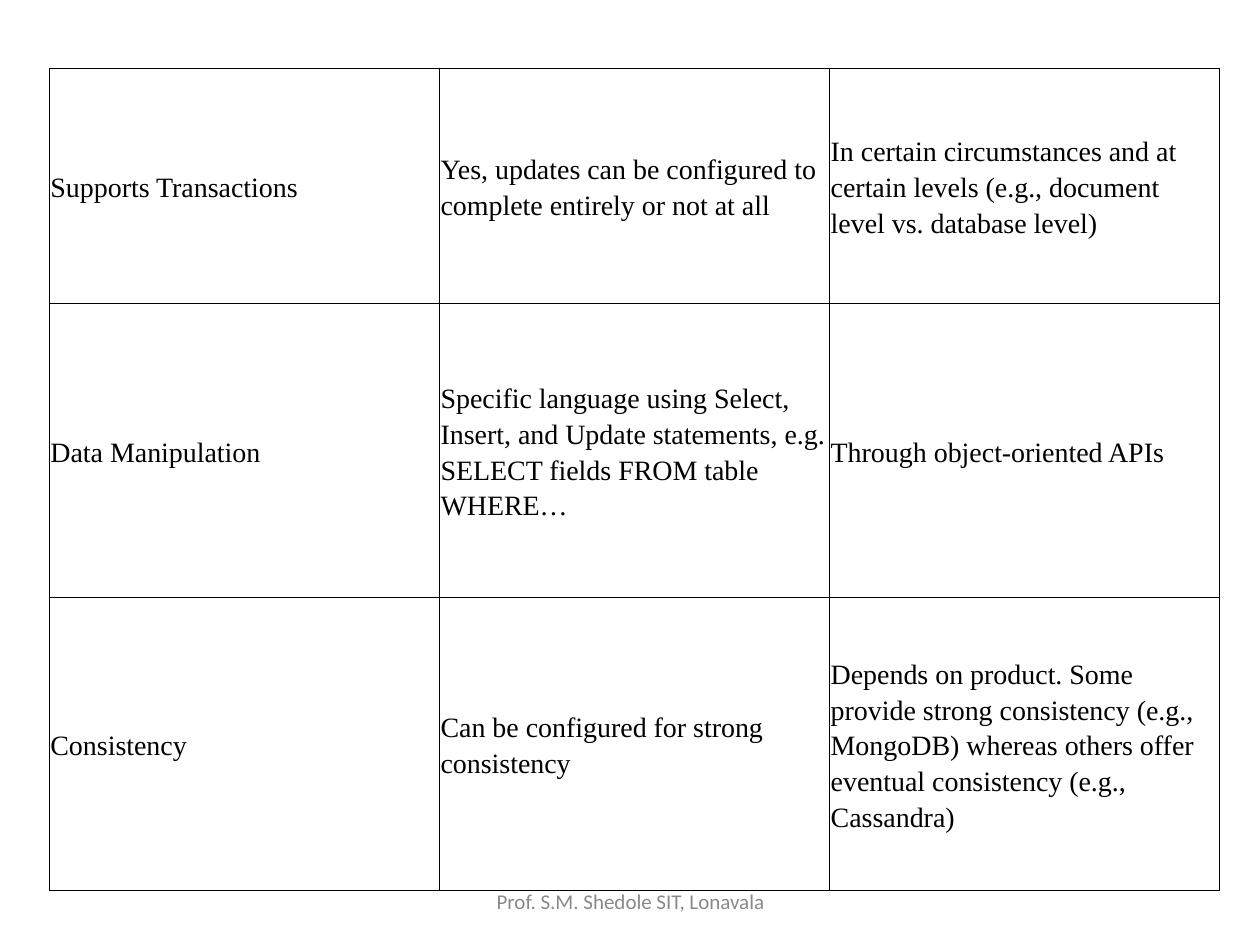
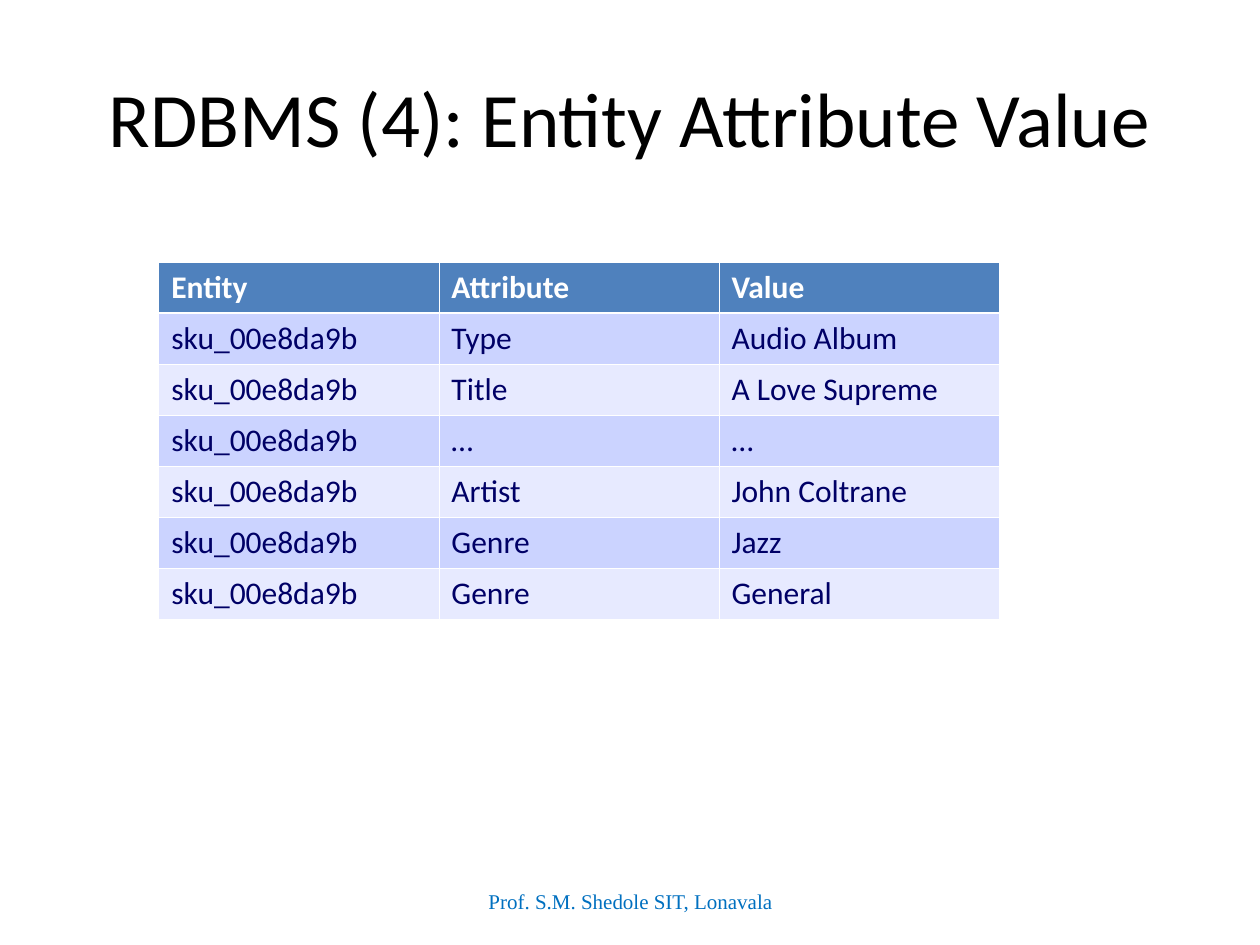
from lxml import etree
from pptx import Presentation
from pptx import util as u
from pptx.dml.color import RGBColor
from pptx.enum import text
from pptx.oxml import ns

BODY_FONT = "Calibri"
SERIF_FONT = "Times New Roman"
BLACK, WHITE, NAVY = "000000", "FFFFFF", "000066"
GREY, BLUE = "898989", "0070C0"
HEADER_FILL = "4F81BD"
BAND_FILLS = ("CBD3FF", "E7EAFF")
THIN, THICK = 0.45, 1.47
FOOTER = "Prof. S.M. Shedole SIT, Lonavala"

COMPARISON = [
    ["Supports Transactions",
     "Yes, updates can be configured to complete entirely or not at all",
     "In certain circumstances and at certain levels "
     "(e.g., document level vs. database level)"],
    ["Data Manipulation",
     "Specific language using Select, Insert, and Update statements, "
     "e.g. SELECT fields FROM table WHERE…",
     "Through object-oriented APIs"],
    ["Consistency",
     "Can be configured for strong consistency",
     "Depends on product. Some provide strong consistency (e.g., MongoDB) "
     "whereas others offer eventual consistency (e.g., Cassandra)"],
]
SKU = "sku_00e8da9b"
ATTRIBUTES = [("Type", "Audio Album"), ("Title", "A Love Supreme"), ("…", "…"),
              ("Artist", "John Coltrane"), ("Genre", "Jazz"), ("Genre", "General")]


def color(value):
    return RGBColor.from_string(value)


def add_border(cell, side, value, width):
    """Draw one cell edge; side is L, R, T or B. Call before filling the cell."""
    properties = cell._tc.get_or_add_tcPr()
    line = etree.SubElement(properties, ns.qn("a:ln" + side), w=str(u.Pt(width)))
    fill = etree.SubElement(line, ns.qn("a:solidFill"))
    etree.SubElement(fill, ns.qn("a:srgbClr"), val=value)


class SlideBuilder:
    def __init__(self):
        self.deck = Presentation()
        self.deck.slide_width = u.Inches(10)
        self.deck.slide_height = u.Inches(7.5)
        self.slide = None

    def add_slide(self):
        self.slide = self.deck.slides.add_slide(self.deck.slide_layouts[6])

    def set_text(self, frame, words, size, font, ink, bold=False):
        frame.text = words
        para = frame.paragraphs[0]
        for span in para.runs:
            span.font.size = u.Pt(size)
            span.font.name = font
            span.font.color.rgb = color(ink)
            span.font.bold = bold
        return para

    def centered_text(self, place, words, size, font, ink):
        box = self.slide.shapes.add_textbox(*map(u.Inches, place))
        frame = box.text_frame
        frame.word_wrap = True
        frame.vertical_anchor = text.MSO_ANCHOR.MIDDLE
        para = self.set_text(frame, words, size, font, ink)
        para.alignment = text.PP_ALIGN.CENTER

    def title(self, words):
        self.centered_text((0.5, 0.3, 9, 1.25), words, 44, BODY_FONT, BLACK)

    def footer(self, font, ink):
        self.centered_text((3.42, 6.95, 3.17, 0.4), FOOTER, 12, font, ink)

    def table(self, left, top, width, heights, rows):
        """Add an unstyled table and return its cells, row by row."""
        columns = len(rows[0])
        frame = self.slide.shapes.add_table(
            len(rows), columns, u.Inches(left), u.Inches(top),
            u.Inches(width), u.Inches(sum(heights)))
        table = frame.table
        table.first_row = table.horz_banding = False
        for column in table.columns:
            column.width = u.Inches(width / columns)
        for row, height in zip(table.rows, heights):
            row.height = u.Inches(height)
        return [list(row.cells) for row in table.rows]

    def comparison_table(self, rows):
        cells = self.table(0.39, 0.54, 9.29, (1.87, 2.33, 2.33), rows)
        for row, words in zip(cells, rows):
            for cell, phrase in zip(row, words):
                cell.margin_left = cell.margin_right = u.Inches(0.01)
                cell.vertical_anchor = text.MSO_ANCHOR.MIDDLE
                for side in "LRTB":
                    add_border(cell, side, BLACK, THIN)
                cell.fill.background()
                para = self.set_text(cell.text_frame, phrase, 16, SERIF_FONT, BLACK)
                para.line_spacing = 1.15

    def banded_table(self, rows):
        cells = self.table(1.26, 2.08, 6.67, [2.84 / len(rows)] * len(rows), rows)
        for index, (row, words) in enumerate(zip(cells, rows)):
            header = index == 0
            fill = HEADER_FILL if header else BAND_FILLS[(index - 1) % 2]
            thick_side = {0: "B", 1: "T"}.get(index)
            for cell, phrase in zip(row, words):
                for side in "LRTB":
                    add_border(cell, side, WHITE, THICK if side == thick_side else THIN)
                cell.fill.solid()
                cell.fill.fore_color.rgb = color(fill)
                self.set_text(cell.text_frame, phrase, 18, BODY_FONT,
                              WHITE if header else NAVY, header)


def main():
    builder = SlideBuilder()

    builder.add_slide()
    builder.comparison_table(COMPARISON)
    builder.footer(BODY_FONT, GREY)

    builder.add_slide()
    builder.title("RDBMS (4): Entity Attribute Value")
    builder.banded_table([("Entity", "Attribute", "Value")]
                         + [(SKU, *pair) for pair in ATTRIBUTES])
    builder.footer(SERIF_FONT, BLUE)

    builder.deck.save("out.pptx")


if __name__ == "__main__":
    main()
